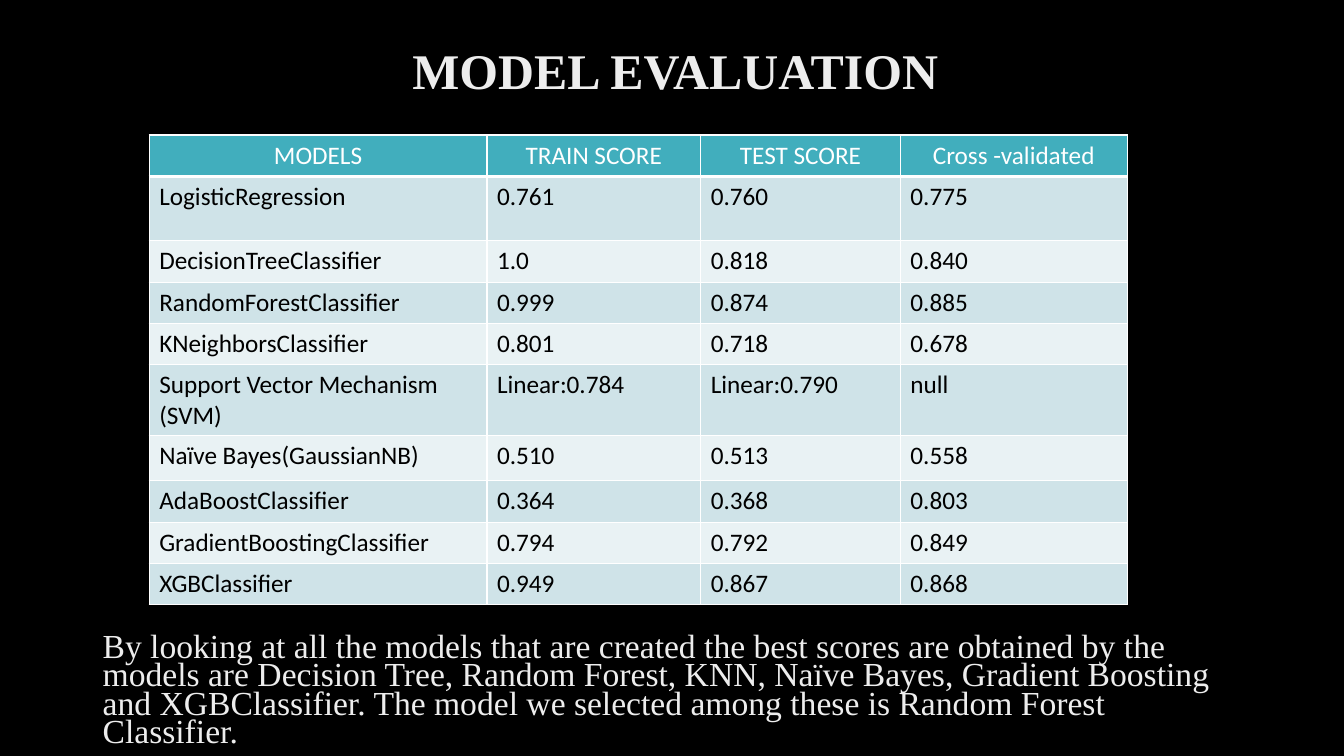
from lxml.etree import SubElement
from pptx import Presentation
from pptx.dml.color import RGBColor
from pptx.enum.text import PP_ALIGN
from pptx.oxml.ns import qn
from pptx.util import Inches, Pt


def write(frame, text, size, font, color, bold=False, align=PP_ALIGN.LEFT):
    para = frame.paragraphs[0]
    para.alignment = align
    run = para.add_run()
    run.text = text
    run.font.size = Pt(size)
    run.font.name = font
    run.font.bold = bold
    run.font.color.rgb = RGBColor.from_string(color)
    return para


def border(cell, side, width):
    line = SubElement(cell._tc.get_or_add_tcPr(), qn("a:" + side), w=str(Pt(width)))
    fill = SubElement(line, qn("a:solidFill"))
    SubElement(fill, qn("a:srgbClr"), val="FFFFFF")


deck = Presentation()
deck.slide_width = Inches(13.33)
deck.slide_height = Inches(7.5)
slide = deck.slides.add_slide(deck.slide_layouts[6])
back = slide.background.fill
back.solid()
back.fore_color.rgb = RGBColor.from_string("000000")

# Title and closing note
title = slide.shapes.add_textbox(Inches(0.95), Inches(0.39), Inches(11.5), Inches(0.6))
note = slide.shapes.add_textbox(Inches(0.92), Inches(6.31), Inches(11.5), Inches(1.1))
for box in (title, note):
    box.text_frame.word_wrap = True
    box.text_frame.margin_top = box.text_frame.margin_bottom = 0
write(title.text_frame, "MODEL EVALUATION", 35.6, "Times New Roman", "EDEDED",
      True, PP_ALIGN.CENTER)
para = write(
    note.text_frame,
    "By looking at all the models that are created the best scores are obtained "
    "by the models are Decision Tree, Random Forest, KNN, Naïve Bayes, Gradient "
    "Boosting and XGBClassifier. The model we selected among these is Random "
    "Forest Classifier.",
    24, "Times New Roman", "EDEDED")
para.line_spacing = 0.7

# Score table
rows = [
    ("MODELS", "TRAIN SCORE", "TEST SCORE", "Cross -validated"),
    ("LogisticRegression", "0.761", "0.760", "0.775"),
    ("DecisionTreeClassifier", "1.0", "0.818", "0.840"),
    ("RandomForestClassifier", "0.999", "0.874", "0.885"),
    ("KNeighborsClassifier", "0.801", "0.718", "0.678"),
    ("Support Vector Mechanism (SVM)", "Linear:0.784", "Linear:0.790", "null"),
    ("Naïve Bayes(GaussianNB)", "0.510", "0.513", "0.558"),
    ("AdaBoostClassifier", "0.364", "0.368", "0.803"),
    ("GradientBoostingClassifier", "0.794", "0.792", "0.849"),
    ("XGBClassifier", "0.949", "0.867", "0.868"),
]
widths = [3.35, 2.12, 1.98, 2.25]
tall = {1: 0.64, 5: 0.7, 6: 0.45}
table = slide.shapes.add_table(len(rows), len(widths), Inches(1.48), Inches(1.34),
                               Inches(9.7), Inches(4.66)).table
table.horz_banding = False
table.first_row = False
for col, width in zip(table.columns, widths):
    col.width = Inches(width)

for r, row in enumerate(rows):
    table.rows[r].height = Inches(tall.get(r, 0.41))
    head = r == 0
    shade = "41AEBD" if head else "CFE3E8" if r % 2 else "E9F2F4"
    for c, text in enumerate(row):
        cell = table.cell(r, c)
        write(cell.text_frame, text, 18, "Calibri", "FFFFFF" if head else "000000",
              align=PP_ALIGN.CENTER if head else PP_ALIGN.LEFT)
        for side in ("lnL", "lnR", "lnT", "lnB"):
            thick = (r, side) in ((0, "lnB"), (1, "lnT"))
            border(cell, side, 3 if thick else 1)
        cell.fill.solid()
        cell.fill.fore_color.rgb = RGBColor.from_string(shade)

deck.save("out.pptx")
